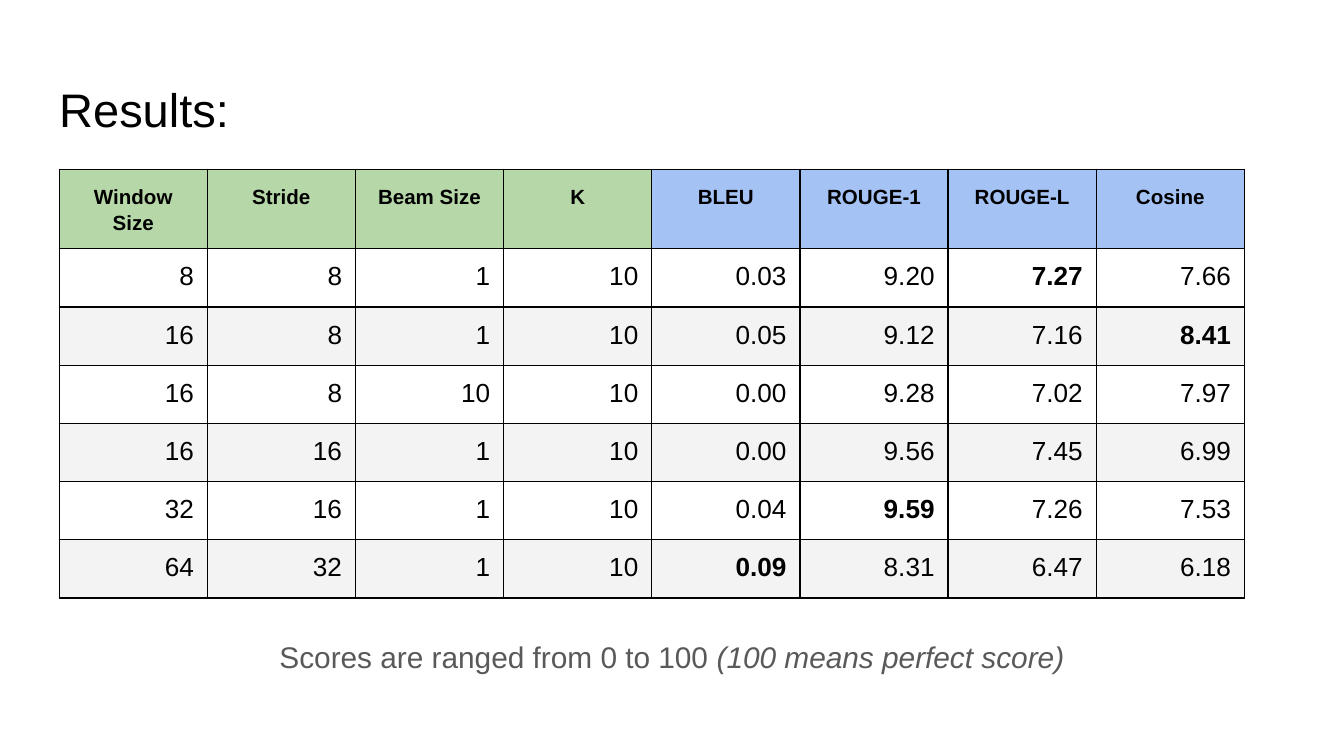
from dataclasses import dataclass

from lxml.etree import SubElement
from pptx import Presentation
from pptx.dml.color import RGBColor
from pptx.enum.text import MSO_ANCHOR, MSO_AUTO_SIZE, PP_ALIGN
from pptx.oxml.ns import qn
from pptx.slide import Slide
from pptx.table import _Cell as Cell
from pptx.text.text import Font, TextFrame
from pptx.util import Inches, Pt

BLACK = RGBColor(0x00, 0x00, 0x00)
WHITE = RGBColor(0xFF, 0xFF, 0xFF)
GRAY = RGBColor(0x59, 0x59, 0x59)
BAND = RGBColor(0xF3, 0xF3, 0xF3)
GREEN = RGBColor(0xB6, 0xD7, 0xA8)
BLUE = RGBColor(0xA4, 0xC2, 0xF4)

SETTINGS = ("Window Size", "Stride", "Beam Size", "K")
SCORES = ("BLEU", "ROUGE-1", "ROUGE-L", "Cosine")
HEADERS = SETTINGS + SCORES


@dataclass(frozen=True)
class Result:
    settings: tuple[int, ...]
    scores: tuple[float, ...]
    highlight: str = ""

    def texts(self) -> list[str]:
        return [str(value) for value in self.settings] + [
            f"{score:.2f}" for score in self.scores
        ]


RESULTS = (
    Result((8, 8, 1, 10), (0.03, 9.20, 7.27, 7.66), "ROUGE-L"),
    Result((16, 8, 1, 10), (0.05, 9.12, 7.16, 8.41), "Cosine"),
    Result((16, 8, 10, 10), (0.00, 9.28, 7.02, 7.97)),
    Result((16, 16, 1, 10), (0.00, 9.56, 7.45, 6.99)),
    Result((32, 16, 1, 10), (0.04, 9.59, 7.26, 7.53), "ROUGE-1"),
    Result((64, 32, 1, 10), (0.09, 8.31, 6.47, 6.18), "BLEU"),
)

FONT = "Arial"
MARGIN = Inches(0.1)
TABLE_WIDTH = Inches(8.82)
COLUMN_WIDTH = TABLE_WIDTH // len(HEADERS)
HEADER_HEIGHT = Inches(0.56)
BODY_HEIGHT = Inches(2.6)
ROW_HEIGHT = BODY_HEIGHT // len(RESULTS)
BORDER_WIDTH = Pt(0.75)


def style_font(font: Font, size: float, color: RGBColor, bold: bool = False) -> None:
    font.name = FONT
    font.size = Pt(size)
    font.color.rgb = color
    font.bold = bold


def set_margins(target: TextFrame | Cell) -> None:
    target.margin_left = target.margin_right = MARGIN
    target.margin_top = target.margin_bottom = MARGIN


def add_borders(cell: Cell) -> None:
    """Draw all four edges; must run before the cell gets its fill."""
    properties = cell._tc.get_or_add_tcPr()
    for edge in ("a:lnL", "a:lnR", "a:lnT", "a:lnB"):
        line = SubElement(properties, qn(edge), w=str(BORDER_WIDTH))
        fill = SubElement(line, qn("a:solidFill"))
        SubElement(fill, qn("a:srgbClr"), val=str(BLACK))


def fill_cell(cell: Cell, text: str, size: float, bold: bool,
              alignment: PP_ALIGN, color: RGBColor | None) -> None:
    set_margins(cell)
    cell.vertical_anchor = MSO_ANCHOR.TOP
    add_borders(cell)
    if color is None:
        cell.fill.background()
    else:
        cell.fill.solid()
        cell.fill.fore_color.rgb = color
    cell.text_frame.text = text
    paragraph = cell.text_frame.paragraphs[0]
    paragraph.alignment = alignment
    style_font(paragraph.runs[0].font, size, BLACK, bold)


def add_title(slide: Slide) -> None:
    title = slide.shapes.title
    title.left, title.top = Inches(0.34), Inches(0.5)
    title.width, title.height = Inches(9.32), Inches(0.63)
    title.fill.solid()
    title.fill.fore_color.rgb = WHITE
    text_frame = title.text_frame
    set_margins(text_frame)
    text_frame.auto_size = MSO_AUTO_SIZE.NONE
    text_frame.vertical_anchor = MSO_ANCHOR.TOP
    text_frame.text = "Results:"
    paragraph = text_frame.paragraphs[0]
    paragraph.alignment = PP_ALIGN.LEFT
    style_font(paragraph.runs[0].font, 25.2, BLACK)


def add_results_table(slide: Slide) -> None:
    table = slide.shapes.add_table(
        len(RESULTS) + 1, len(HEADERS), Inches(0.44), Inches(1.26),
        TABLE_WIDTH, HEADER_HEIGHT + BODY_HEIGHT,
    ).table
    table.first_row = table.horz_banding = False
    for column in table.columns:
        column.width = COLUMN_WIDTH
    for index, row in enumerate(table.rows):
        row.height = ROW_HEIGHT if index else HEADER_HEIGHT

    for column, header in enumerate(HEADERS):
        cell = table.cell(0, column)
        color = GREEN if header in SETTINGS else BLUE
        fill_cell(cell, header, 11, True, PP_ALIGN.CENTER, color)
        cell.text_frame.paragraphs[0].line_spacing = 1.15

    for row, result in enumerate(RESULTS, start=1):
        color = BAND if row % 2 == 0 else None
        for column, (header, text) in enumerate(zip(HEADERS, result.texts())):
            fill_cell(table.cell(row, column), text, 14,
                      header == result.highlight, PP_ALIGN.RIGHT, color)


def add_caption(slide: Slide) -> None:
    caption = slide.shapes.add_textbox(
        Inches(1.3), Inches(4.65), Inches(7.4), Inches(0.47))
    text_frame = caption.text_frame
    text_frame.word_wrap = True
    text_frame.auto_size = MSO_AUTO_SIZE.SHAPE_TO_FIT_TEXT
    set_margins(text_frame)
    paragraph = text_frame.paragraphs[0]
    paragraph.alignment = PP_ALIGN.CENTER
    for text, italic in (("Scores are ranged from 0 to 100 ", False),
                         ("(100 means perfect score)", True)):
        run = paragraph.add_run()
        run.text = text
        style_font(run.font, 16, GRAY)
        run.font.italic = italic


def main() -> None:
    presentation = Presentation()
    presentation.slide_width = Inches(10)
    presentation.slide_height = Inches(10) * 9 // 16
    title_only = presentation.slide_layouts.get_by_name("Title Only")
    slide = presentation.slides.add_slide(title_only)
    add_title(slide)
    add_results_table(slide)
    add_caption(slide)
    presentation.save("out.pptx")


if __name__ == "__main__":
    main()
